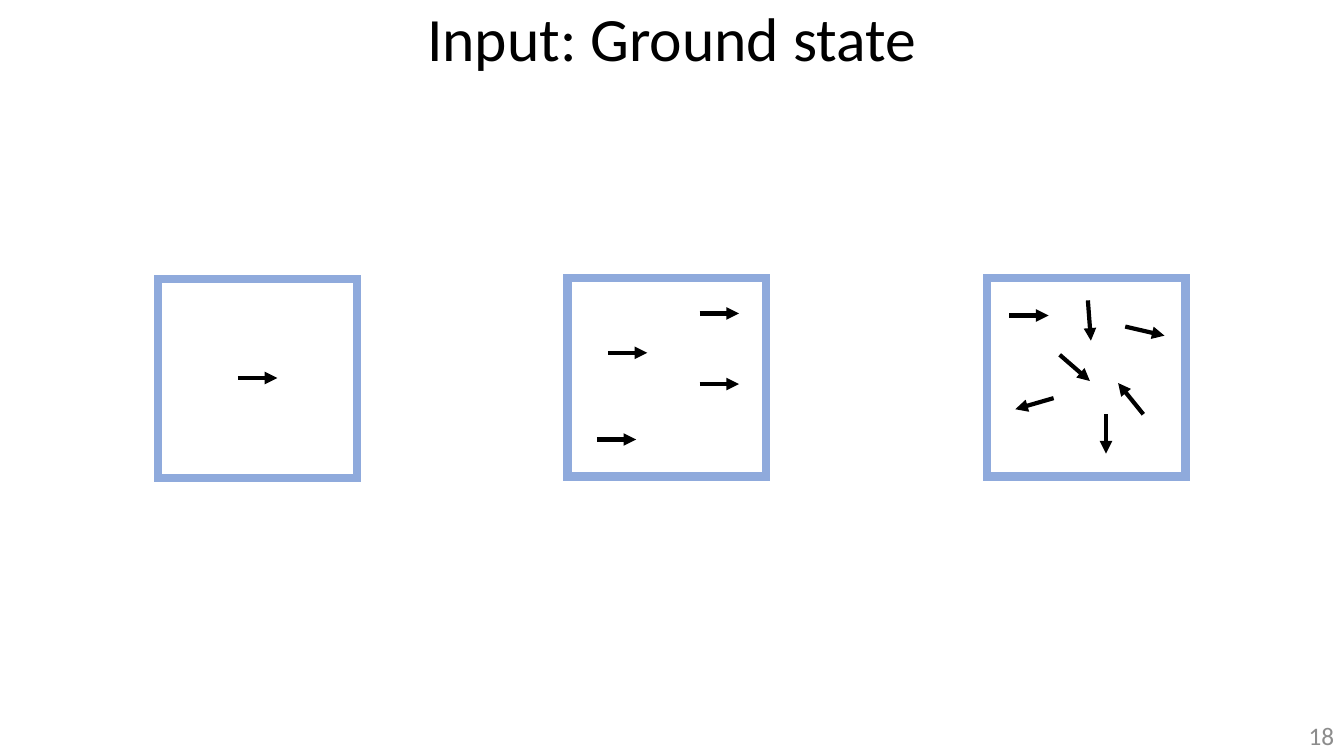
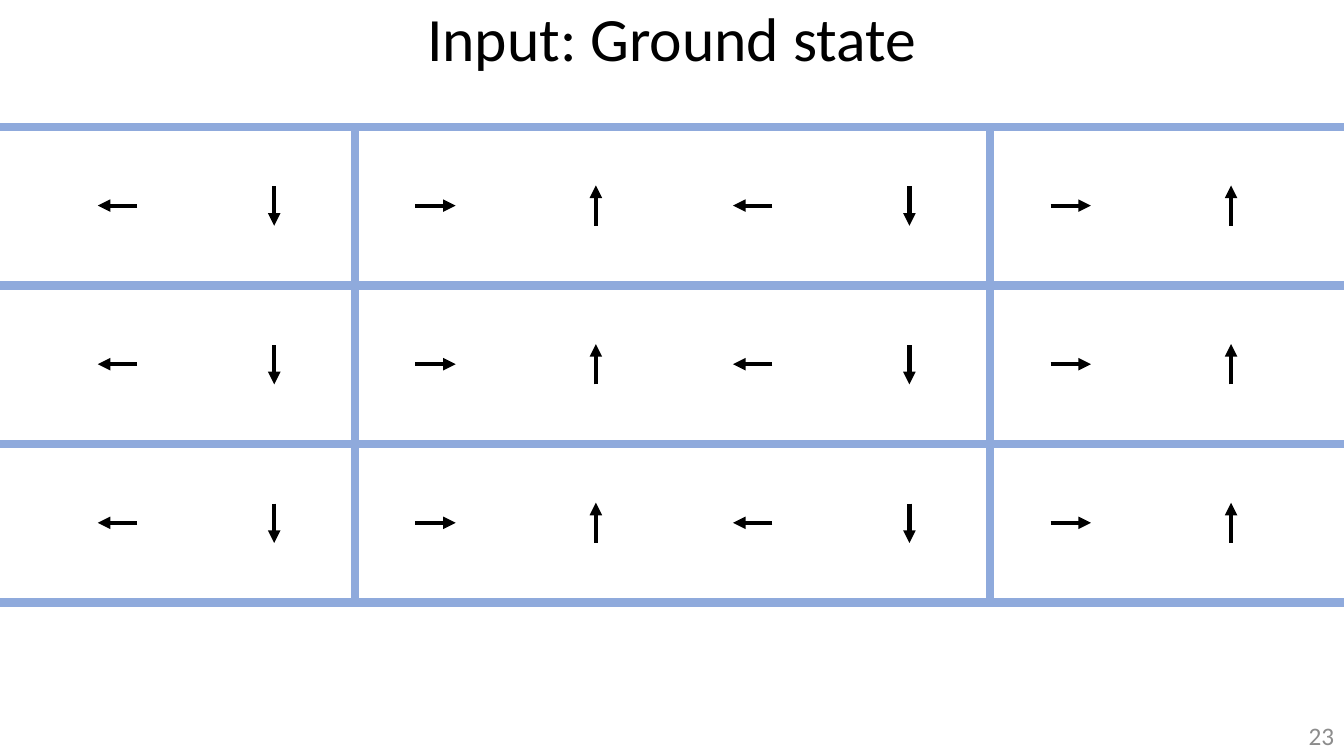
from typing import NamedTuple

from lxml import etree
from pptx import Presentation
from pptx.dml.color import RGBColor
from pptx.enum.shapes import MSO_CONNECTOR, MSO_SHAPE
from pptx.enum.text import MSO_ANCHOR, PP_ALIGN
from pptx.oxml.ns import qn
from pptx.slide import Slide
from pptx.util import Inches, Pt

RECT = MSO_SHAPE.RECTANGLE
LINE = MSO_CONNECTOR.STRAIGHT
BOTTOM, MIDDLE = MSO_ANCHOR.BOTTOM, MSO_ANCHOR.MIDDLE
CENTER, RIGHT = PP_ALIGN.CENTER, PP_ALIGN.RIGHT

BLACK = RGBColor(0x00, 0x00, 0x00)
GRAY = RGBColor(0x8C, 0x8C, 0x8C)
BLUE = RGBColor(0x8F, 0xAA, 0xDC)
FONT = "Calibri"
TITLE = "Input: Ground state"
WIDTH, HEIGHT = 13.33, 7.5


class Box(NamedTuple):
    left: float
    top: float
    width: float
    height: float


class Spin(NamedTuple):
    x1: float
    y1: float
    x2: float
    y2: float


class Label(NamedTuple):
    box: Box
    size: int
    color: RGBColor
    align: PP_ALIGN
    anchor: MSO_ANCHOR
    space: float


class Cell(NamedTuple):
    box: Box
    spins: list[Spin]


HEAD = Label(Box(0, 0, WIDTH, 0.79), 44, BLACK, CENTER, BOTTOM, 0.9)
FOOT = Label(Box(WIDTH - 3, 7.1, 3, 0.4), 18, GRAY, RIGHT, MIDDLE, 1.0)

SIDE = 1.97
ONE = [Spin(0.79, 0.98, 1.18, 0.98)]
FOUR = [
    Spin(x, y, x + 0.39, y)
    for x, y in [(1.31, 0.35), (0.29, 1.6), (1.31, 1.05), (0.4, 0.74)]
]
SEVEN = [
    Spin(0.22, 0.37, 0.61, 0.37),
    Spin(1.37, 0.48, 1.76, 0.57),
    Spin(0.66, 1.19, 0.28, 1.3),
    Spin(0.72, 0.76, 1.02, 1.02),
    Spin(1.18, 1.35, 1.18, 1.74),
    Spin(1.55, 1.35, 1.3, 1.04),
    Spin(1.0, 0.22, 1.03, 0.62),
]
SQUARES = [
    Cell(Box(1.57, 2.77, SIDE, SIDE), ONE),
    Cell(Box(5.63, 2.76, SIDE, SIDE), FOUR),
    Cell(Box(9.79, 2.76, SIDE, SIDE), SEVEN),
]

ROWS = 3
LEFT, TOP = -2.78, 1.26
WIDE, TALL = 6.3, 4.72 / ROWS
CYCLE = [
    Spin(0.6, 0.78, 1.0, 0.78),
    Spin(2.39, 0.98, 2.39, 0.58),
    Spin(4.14, 0.78, 3.75, 0.78),
    Spin(5.5, 0.59, 5.5, 0.98),
]
COLUMNS = [CYCLE[2:], CYCLE, CYCLE[:2]]
GRID = [
    Cell(Box(LEFT + col * WIDE, TOP + row * TALL, WIDE, TALL), spins)
    for col, spins in enumerate(COLUMNS)
    for row in range(ROWS)
]


def write(slide: Slide, text: str, label: Label) -> None:
    frame = slide.shapes.add_textbox(*map(Inches, label.box)).text_frame
    frame.word_wrap = True
    frame.vertical_anchor = label.anchor
    frame.text = text
    para = frame.paragraphs[0]
    para.alignment = label.align
    para.line_spacing = label.space
    font = para.runs[0].font
    font.name = FONT
    font.size = Pt(label.size)
    font.color.rgb = label.color


def draw(slide: Slide, cell: Cell) -> None:
    shapes = slide.shapes.add_group_shape().shapes
    box = cell.box
    rect = shapes.add_shape(RECT, *map(Inches, box))
    rect.shadow.inherit = False
    rect.fill.background()
    rect.line.color.rgb = BLUE
    rect.line.width = Pt(6)
    stroke = rect.line._get_or_add_ln()
    etree.SubElement(stroke, qn("a:miter"), lim="800000")
    for spin in cell.spins:
        arrow = shapes.add_connector(
            LINE,
            Inches(box.left + spin.x1),
            Inches(box.top + spin.y1),
            Inches(box.left + spin.x2),
            Inches(box.top + spin.y2),
        )
        arrow.line.color.rgb = BLACK
        arrow.line.width = Pt(3)
        stroke = arrow.line._get_or_add_ln()
        etree.SubElement(stroke, qn("a:tailEnd"), type="triangle")
        etree.SubElement(stroke.getparent(), qn("a:effectLst"))


def build(deck: Presentation, number: str, cells: list[Cell]) -> None:
    slide = deck.slides.add_slide(deck.slide_layouts[6])
    write(slide, TITLE, HEAD)
    write(slide, number, FOOT)
    for cell in cells:
        draw(slide, cell)


def main() -> None:
    deck = Presentation()
    deck.slide_width = Inches(WIDTH)
    deck.slide_height = Inches(HEIGHT)
    build(deck, "18", SQUARES)
    build(deck, "23", GRID)
    deck.save("out.pptx")


if __name__ == "__main__":
    main()
